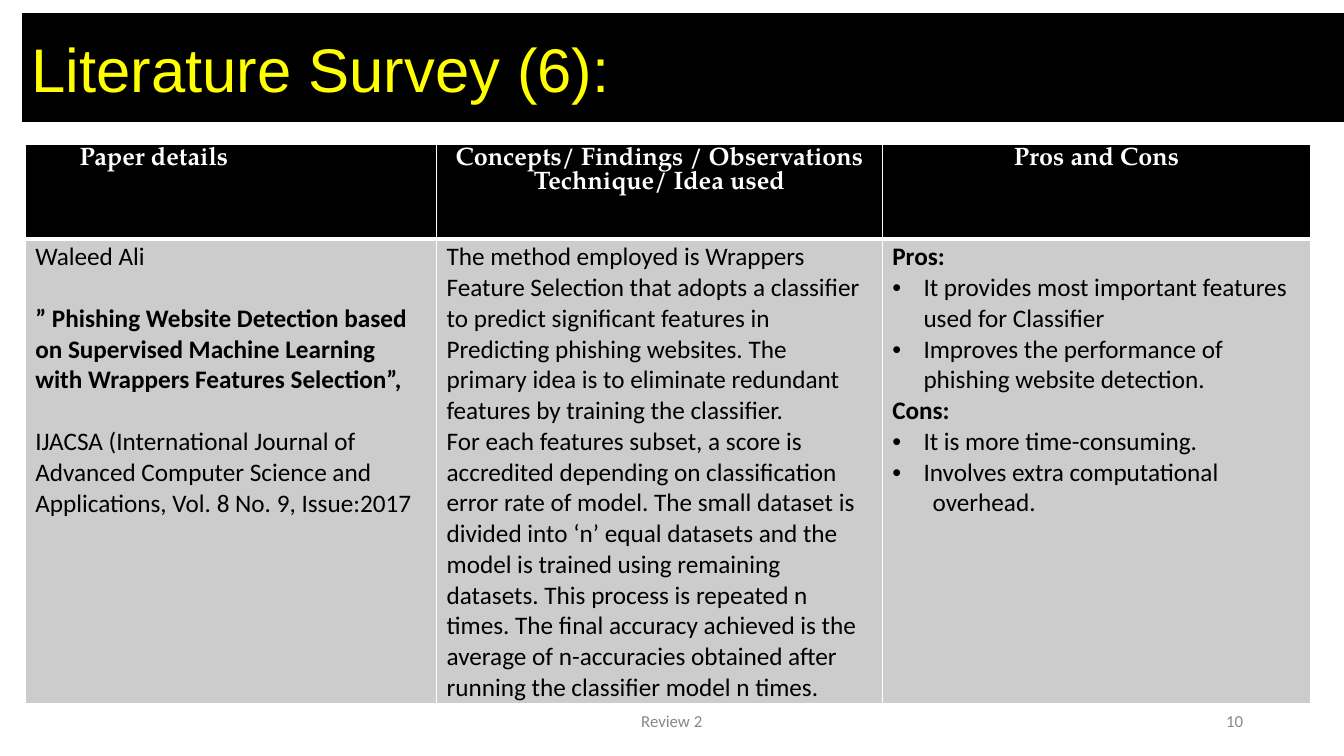
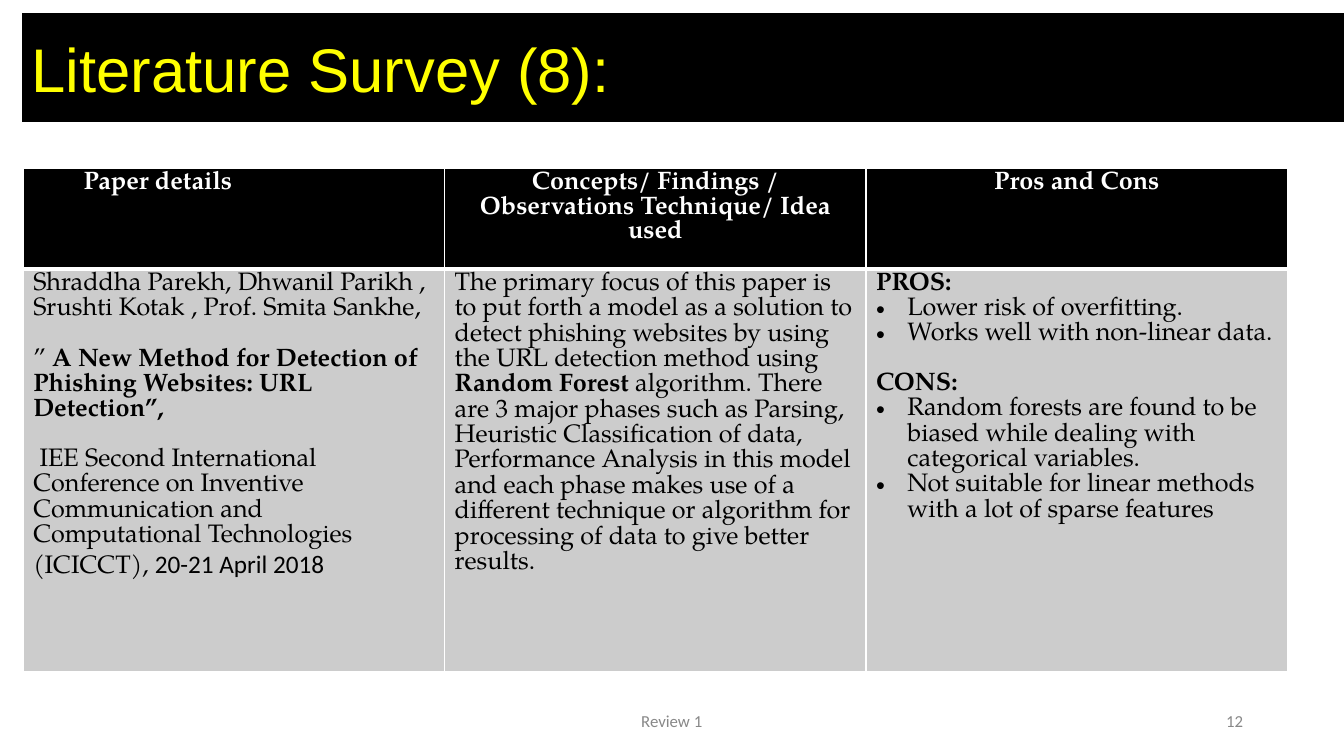
from dataclasses import dataclass
from typing import Any

from lxml import etree
from pptx import Presentation
from pptx import util as u
from pptx.dml.color import RGBColor
from pptx.enum import shapes, text
from pptx.oxml import ns

EMU_PER_PX = 9144  # 100 px to the inch


def px(n: int) -> u.Emu:
    return u.Emu(n * EMU_PER_PX)


@dataclass(frozen=True)
class Theme:
    band: str = "000000"
    title: str = "FFFF00"
    header_text: str = "FFFFFF"
    body_text: str = "000000"
    body_fill: str = "CCCCCC"
    border: str = "FFFFFF"
    footer: str = "888888"
    title_face: str = "Arial"
    sans: str = "Calibri"
    serif: str = "TeX Gyre Pagella"
    title_size: int = 44
    table_size: int = 18
    footer_size: int = 12
    thin: int = 1
    thick: int = 3


T = Theme()


@dataclass(frozen=True)
class Run:
    text: str
    bold: bool = False
    face: str = ""


@dataclass(frozen=True)
class Para:
    runs: tuple[Run, ...]
    bullet: bool = False
    indent: int = 0
    gap: bool = False
    center: bool = False


@dataclass(frozen=True)
class Survey:
    number: int
    footer: str
    page: int
    left: int
    top: int
    cols: tuple[int, ...]
    rows: tuple[int, ...]
    header_indent: int
    face: str
    gap_pt: int
    body: tuple[list[Para], ...]


def plain(words: str, **kw: Any) -> Para:
    return Para((Run(words),), **kw)


def bold(words: str, **kw: Any) -> Para:
    return Para((Run(words, True),), **kw)


def bullets(*items: str) -> list[Para]:
    return [plain(item, bullet=True, indent=31) for item in items]


def set_attrs(obj: Any, values: dict[str, Any]) -> None:
    for name, value in values.items():
        setattr(obj, name, value)


def style_run(r: Any, face: str, size: int, color: str, is_bold: bool = False) -> None:
    set_attrs(r.font, {"name": face, "size": u.Pt(size), "bold": is_bold})
    r.font.color.rgb = RGBColor.from_string(color)


def clear_frame(tf: Any, top: int = 0) -> None:
    """Give a text frame no insets, except at the top, and wrap its text."""
    set_attrs(tf, {
        "margin_left": 0, "margin_right": 0, "margin_bottom": 0,
        "margin_top": px(top), "word_wrap": True,
        "auto_size": text.MSO_AUTO_SIZE.NONE,
        "vertical_anchor": text.MSO_ANCHOR.TOP,
    })


def place(sp: Any, left: int, top: int, width: int, height: int) -> None:
    set_attrs(sp, {"left": px(left), "top": px(top),
                   "width": px(width), "height": px(height)})


def add_title(slide: Any, words: str) -> None:
    title = slide.shapes.title
    band = slide.shapes.add_shape(shapes.MSO_SHAPE.RECTANGLE,
                                  px(22), px(13), px(1311), px(108))
    band.shadow.inherit = False
    band.fill.solid()
    band.fill.fore_color.rgb = RGBColor.from_string(T.band)
    band.line.fill.background()
    title.element.addprevious(band.element)

    place(title, 31, 29, 1206, 76)
    clear_frame(title.text_frame, top=2)
    p = title.text_frame.paragraphs[0]
    set_attrs(p, {"alignment": text.PP_ALIGN.LEFT, "space_before": u.Pt(1.3)})
    r = p.add_run()
    r.text = words
    style_run(r, T.title_face, T.title_size, T.title)


def add_footer(slide: Any, words: str, left: int, width: int) -> None:
    sp = slide.shapes.add_textbox(px(left), px(708), px(width), px(18))
    clear_frame(sp.text_frame)
    p = sp.text_frame.paragraphs[0]
    p.line_spacing = u.Pt(12.4)
    r = p.add_run()
    r.text = words
    style_run(r, T.sans, T.footer_size, T.footer)


def set_borders(cell: Any, widths: dict[str, int]) -> None:
    """Draw the cell's sides; must run before the cell is filled."""
    tc_pr = cell._tc.get_or_add_tcPr()
    for side, width in widths.items():
        ln = etree.SubElement(tc_pr, ns.qn(f"a:ln{side}"), w=str(u.Pt(width)))
        fill = etree.SubElement(ln, ns.qn("a:solidFill"))
        etree.SubElement(fill, ns.qn("a:srgbClr"), val=T.border)


def write_para(p: Any, para: Para, face: str, color: str, gap_pt: int) -> None:
    p.alignment = text.PP_ALIGN.CENTER if para.center else text.PP_ALIGN.LEFT
    if para.gap:
        p.space_before = u.Pt(gap_pt)
    p_pr = p._p.get_or_add_pPr()
    if para.indent:
        p_pr.set("marL", str(px(para.indent)))
    if para.bullet:
        p_pr.set("indent", str(px(-para.indent)))
        etree.SubElement(p_pr, ns.qn("a:buFont"), typeface="Arial")
        etree.SubElement(p_pr, ns.qn("a:buChar"), char="•")
    for run in para.runs:
        r = p.add_run()
        r.text = run.text
        style_run(r, run.face or face, T.table_size, color, run.bold)


def fill_cell(cell: Any, paras: list[Para], face: str, header: bool, gap_pt: int) -> None:
    set_borders(cell, {"L": T.thin, "R": T.thin,
                       "T": T.thin if header else T.thick,
                       "B": T.thick if header else T.thin})
    cell.fill.solid()
    cell.fill.fore_color.rgb = RGBColor.from_string(T.band if header else T.body_fill)
    set_attrs(cell, {"margin_top": px(3), "margin_bottom": 0})
    tf = cell.text_frame
    color = T.header_text if header else T.body_text
    for i, para in enumerate(paras):
        p = tf.add_paragraph() if i else tf.paragraphs[0]
        write_para(p, para, face, color, gap_pt)


def add_survey_table(slide: Any, s: Survey) -> None:
    frame = slide.shapes.add_table(len(s.rows), len(s.cols), px(s.left), px(s.top),
                                   px(sum(s.cols)), px(sum(s.rows)))
    table = frame.table
    for col, width in zip(table.columns, s.cols):
        col.width = px(width)
    for row, height in zip(table.rows, s.rows):
        row.height = px(height)
    headers = (
        bold("Paper details", indent=s.header_indent),
        bold("Concepts/ Findings / Observations Technique/ Idea used", center=True),
        bold("Pros and Cons", center=True),
    )
    for c, (header, body) in enumerate(zip(headers, s.body)):
        fill_cell(table.cell(0, c), [header], T.serif, True, s.gap_pt)
        fill_cell(table.cell(1, c), body, s.face, False, s.gap_pt)


SURVEYS = (
    Survey(
        6, "Review 2", 10, 25, 143, (408, 442, 425), (94, 460), 44, T.sans, 22,
        (
            [
                plain("Waleed Ali"),
                bold("” Phishing Website Detection based on Supervised Machine Learning "
                     "with Wrappers Features Selection”,", gap=True),
                plain("IJACSA (International Journal of Advanced Computer Science and "
                      "Applications, Vol. 8 No. 9, Issue:2017", gap=True),
            ],
            [
                plain("The method employed is Wrappers Feature Selection that adopts a "
                      "classifier to predict significant features in Predicting phishing "
                      "websites. The primary idea is to eliminate redundant features by "
                      "training the classifier."),
                plain("For each features subset, a score is accredited depending on "
                      "classification error rate of model. The small dataset is divided "
                      "into ‘n’ equal datasets and the model is trained using remaining "
                      "datasets. This process is repeated n times. The final accuracy "
                      "achieved is the average of n-accuracies obtained after running "
                      "the classifier model n times."),
            ],
            [
                bold("Pros:"),
                *bullets("It provides most important features used for Classifier",
                         "Improves the performance of phishing website detection."),
                bold("Cons:"),
                *bullets("It is more time-consuming.", "Involves extra computational"),
                plain("overhead.", indent=40),
            ],
        ),
    ),
    Survey(
        8, "Review 1", 12, 23, 167, (418, 418, 418), (100, 399), 50, T.serif, 18,
        (
            [
                plain("Shraddha Parekh, Dhwanil Parikh , Srushti Kotak , "
                      "Prof. Smita Sankhe,"),
                Para((Run("”"), Run(" A New Method for Detection of Phishing Websites: "
                                    "URL Detection”,", True)), gap=True),
                Para((Run(" IEE Second International Conference on Inventive "
                          "Communication and Computational Technologies (ICICCT), "),
                      Run("20-21 April 2018", face=T.sans)), gap=True),
            ],
            [
                Para((
                    Run("The primary focus of this paper is to put forth a model as a "
                        "solution to detect phishing websites by using the URL detection "
                        "method using "),
                    Run("Random Forest ", True),
                    Run("algorithm. There are 3 major phases such as Parsing, Heuristic "
                        "Classification of data, Performance Analysis in this model and "
                        "each phase makes use of a different technique or algorithm for "
                        "processing of data to give better results."),
                )),
            ],
            [
                bold("PROS:"),
                *bullets("Lower risk of overfitting.", "Works well with non-linear data."),
                bold("CONS:", gap=True),
                *bullets("Random forests are found to be biased while dealing with "
                         "categorical variables.",
                         "Not suitable for linear methods with a lot of sparse features"),
            ],
        ),
    ),
)


def main() -> None:
    prs = Presentation()
    set_attrs(prs, {"slide_width": px(1333), "slide_height": px(750)})
    for s in SURVEYS:
        slide = prs.slides.add_slide(prs.slide_layouts[5])
        add_title(slide, f"Literature Survey ({s.number}):")
        add_survey_table(slide, s)
        add_footer(slide, s.footer, 636, 105)
        add_footer(slide, str(s.page), 1216, 21)
    prs.save("out.pptx")


if __name__ == "__main__":
    main()
